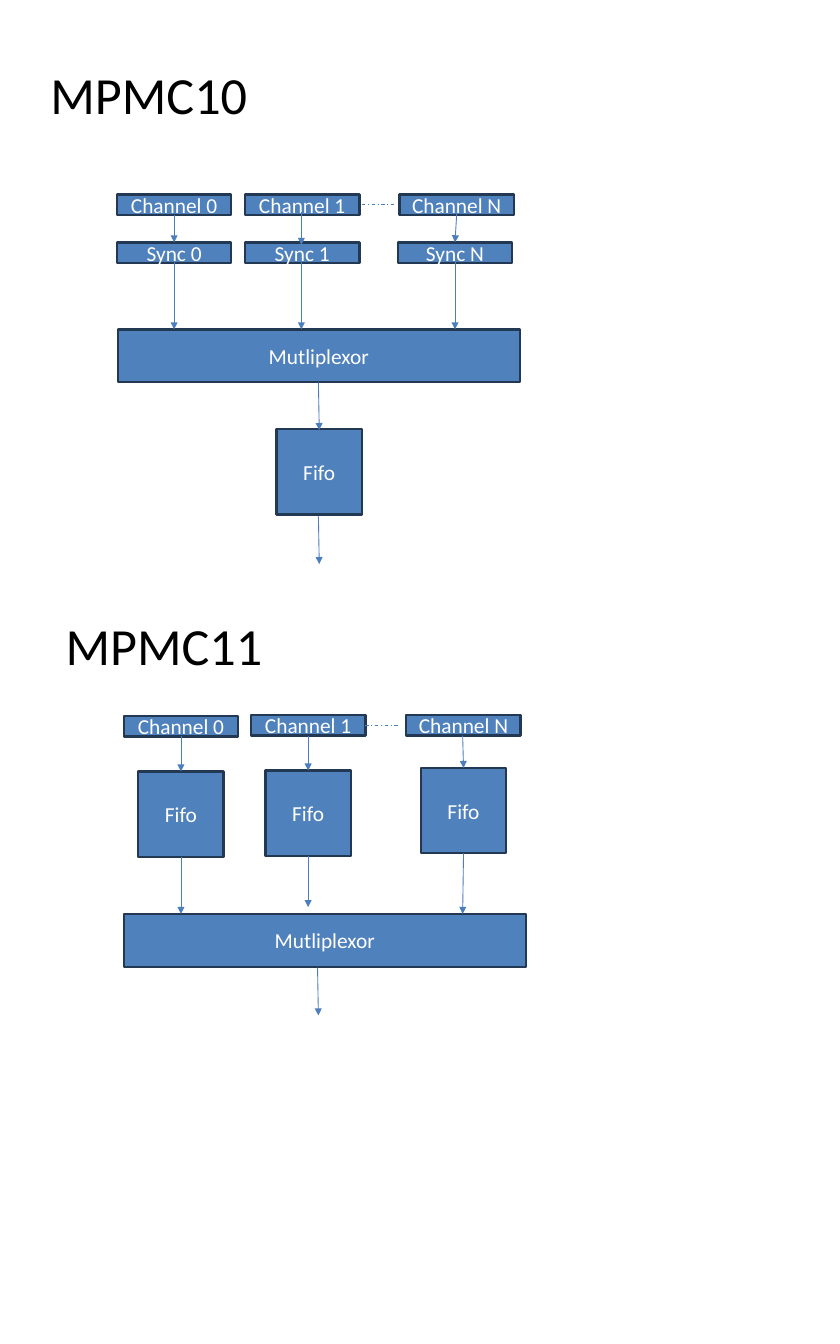
"""Draw the MPMC10 and MPMC11 channel, FIFO and multiplexor block diagrams."""
from dataclasses import dataclass

import pptx
import pptx.dml.color
import pptx.enum.dml
import pptx.enum.shapes
import pptx.enum.text
import pptx.oxml
import pptx.oxml.ns
import pptx.util
from pptx.util import Inches

COLORS = {"block": "4F81BD", "border": "233953", "wire": "4B7EBC",
          "label": "FFFFFF", "heading": "000000"}
FONT = "Calibri"
CHANNEL_SIZE = (1.34, 0.24)
FIFO_SIZE = (1, 1)
MULTIPLEXOR_SIZE = (4.71, 0.62)
HEADING_SIZE = (8.86, 0.94)


@dataclass(frozen=True)
class Block:
    label: str
    left: float
    top: float
    size: tuple[float, float]


@dataclass(frozen=True)
class Wire:
    start: tuple[float, float]
    end: tuple[float, float]
    dashed: bool = False


def row(labels: list[str], lefts: list[float], tops: list[float],
        size: tuple[float, float]) -> list[Block]:
    return [Block(label, left, top, size)
            for label, left, top in zip(labels, lefts, tops)]


def drops(starts: list[tuple[float, float]],
          ends: list[tuple[float, float]]) -> list[Wire]:
    return [Wire(start, end) for start, end in zip(starts, ends)]


def color(name: str) -> pptx.dml.color.RGBColor:
    return pptx.dml.color.RGBColor.from_string(COLORS[name])


def write(frame, text: str, size: int, color_name: str, alignment) -> None:
    frame.text = text
    frame.word_wrap = True
    frame.auto_size = pptx.enum.text.MSO_AUTO_SIZE.NONE
    frame.vertical_anchor = pptx.enum.text.MSO_ANCHOR.MIDDLE
    paragraph = frame.paragraphs[0]
    paragraph.alignment = alignment
    font = paragraph.runs[0].font
    font.name = FONT
    font.size = pptx.util.Pt(size)
    font.color.rgb = color(color_name)


def write_heading(frame, text: str) -> None:
    write(frame, text, 44, "heading", pptx.enum.text.PP_ALIGN.LEFT)


def draw_block(slide, block: Block) -> None:
    box = slide.shapes.add_shape(
        pptx.enum.shapes.MSO_SHAPE.RECTANGLE, Inches(block.left),
        Inches(block.top), *map(Inches, block.size))
    box.shadow.inherit = False
    box.fill.solid()
    box.fill.fore_color.rgb = color("block")
    box.line.color.rgb = color("border")
    box.line.width = pptx.util.Pt(2)
    write(box.text_frame, block.label, 18, "label",
          pptx.enum.text.PP_ALIGN.CENTER)


def draw_wire(slide, wire: Wire) -> None:
    connector = slide.shapes.add_connector(
        pptx.enum.shapes.MSO_CONNECTOR.STRAIGHT,
        *map(Inches, wire.start + wire.end))
    connector.line.color.rgb = color("wire")
    connector.line.width = pptx.util.Pt(0.75)
    properties = connector.element.spPr
    if wire.dashed:
        connector.line.dash_style = pptx.enum.dml.MSO_LINE.DASH_DOT
    else:
        arrowhead = pptx.oxml.parse_xml(
            f'<a:tailEnd {pptx.oxml.ns.nsdecls("a")} type="triangle"/>')
        properties.find(pptx.oxml.ns.qn("a:ln")).append(arrowhead)
    properties.append(pptx.oxml.parse_xml(
        f'<a:effectLst {pptx.oxml.ns.nsdecls("a")}/>'))


CHANNELS = ["Channel 0", "Channel 1", "Channel N"]

MPMC10_BLOCKS = [
    *row(CHANNELS, [1.37, 2.87, 4.68], [2.28] * 3, CHANNEL_SIZE),
    *row(["Sync 0", "Sync 1", "Sync N"], [1.37, 2.87, 4.66], [2.84] * 3,
         CHANNEL_SIZE),
    Block("Mutliplexor", 1.38, 3.86, MULTIPLEXOR_SIZE),
    Block("Fifo", 3.24, 5.03, FIFO_SIZE),
]
MPMC10_WIRES = [
    *drops([(x, 3.07) for x in (2.04, 3.53, 5.33)],
           [(x, 3.86) for x in (2.04, 3.53, 5.33)]),
    *drops([(2.04, 2.52), (3.53, 2.48), (5.35, 2.51)],
           [(2.04, 2.84), (3.53, 2.87), (5.33, 2.84)]),
    *drops([(3.73, 4.48), (3.73, 6.05)], [(3.74, 5.04), (3.74, 6.61)]),
    Wire((4.24, 2.4), (4.62, 2.4), dashed=True),
]
MPMC11_BLOCKS = [
    *row(CHANNELS, [1.45, 2.94, 4.76], [8.39, 8.38, 8.38], CHANNEL_SIZE),
    *row(["Fifo"] * 3, [1.62, 3.11, 4.93], [9.04, 9.03, 9], FIFO_SIZE),
    Block("Mutliplexor", 1.45, 10.71, MULTIPLEXOR_SIZE),
]
MPMC11_WIRES = [
    *drops([(2.12, 8.63), (3.61, 8.62), (5.42, 8.62)],
           [(2.12, 9.04), (3.61, 9.03), (5.43, 9)]),
    *drops([(2.12, 10.04), (3.61, 10.03), (5.43, 10)],
           [(2.12, 10.71), (3.61, 10.63), (5.42, 10.71)]),
    Wire((3.72, 11.34), (3.73, 11.9)),
    Wire((4.28, 8.5), (4.66, 8.5), dashed=True),
]


def main() -> None:
    deck = pptx.Presentation()
    deck.slide_width, deck.slide_height = Inches(9.84), Inches(15.75)
    slide = deck.slides.add_slide(deck.slide_layouts.get_by_name("Title Only"))

    mpmc10 = slide.shapes.title
    mpmc10.left, mpmc10.top = Inches(0.49), Inches(0.63)
    mpmc10.width, mpmc10.height = map(Inches, HEADING_SIZE)
    write_heading(mpmc10.text_frame, "MPMC10")
    mpmc11 = slide.shapes.add_textbox(
        Inches(0.67), Inches(7.09), *map(Inches, HEADING_SIZE))
    write_heading(mpmc11.text_frame, "MPMC11")

    for block in MPMC10_BLOCKS + MPMC11_BLOCKS:
        draw_block(slide, block)
    for wire in MPMC10_WIRES + MPMC11_WIRES:
        draw_wire(slide, wire)
    deck.save("out.pptx")


if __name__ == "__main__":
    main()
